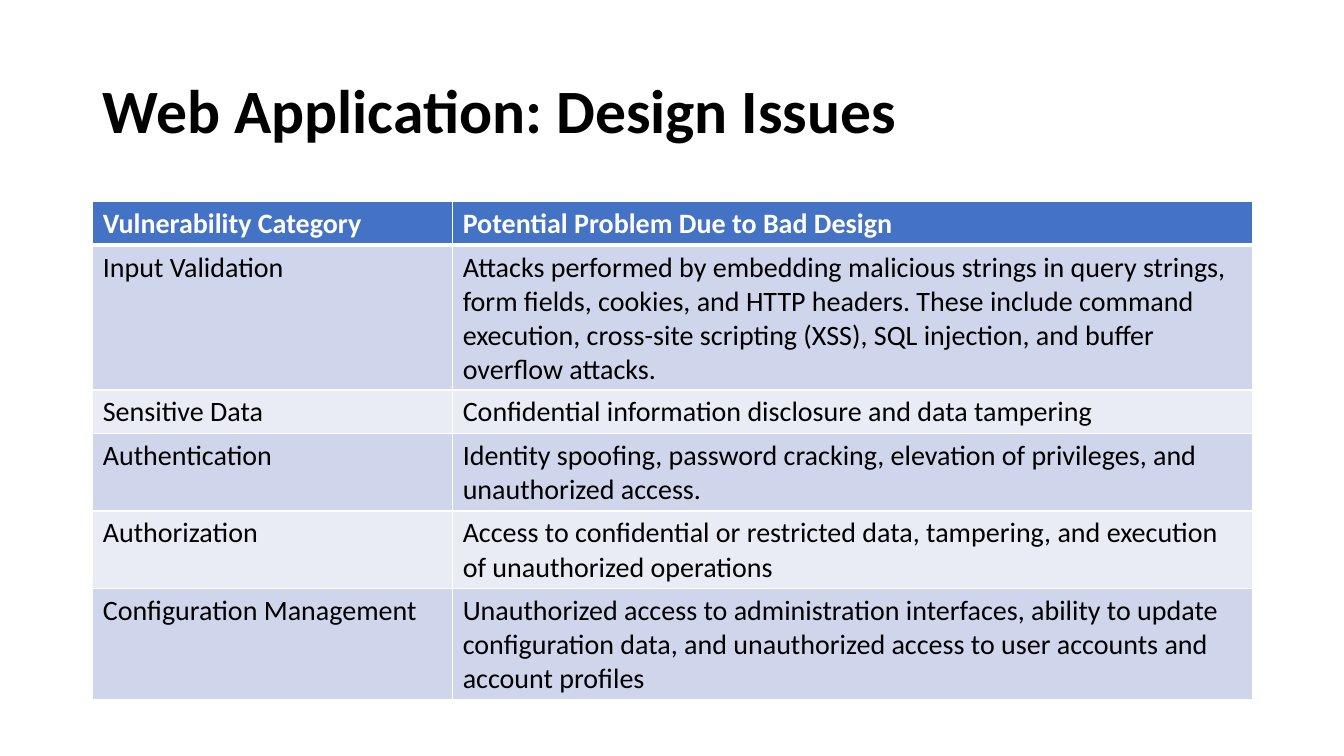
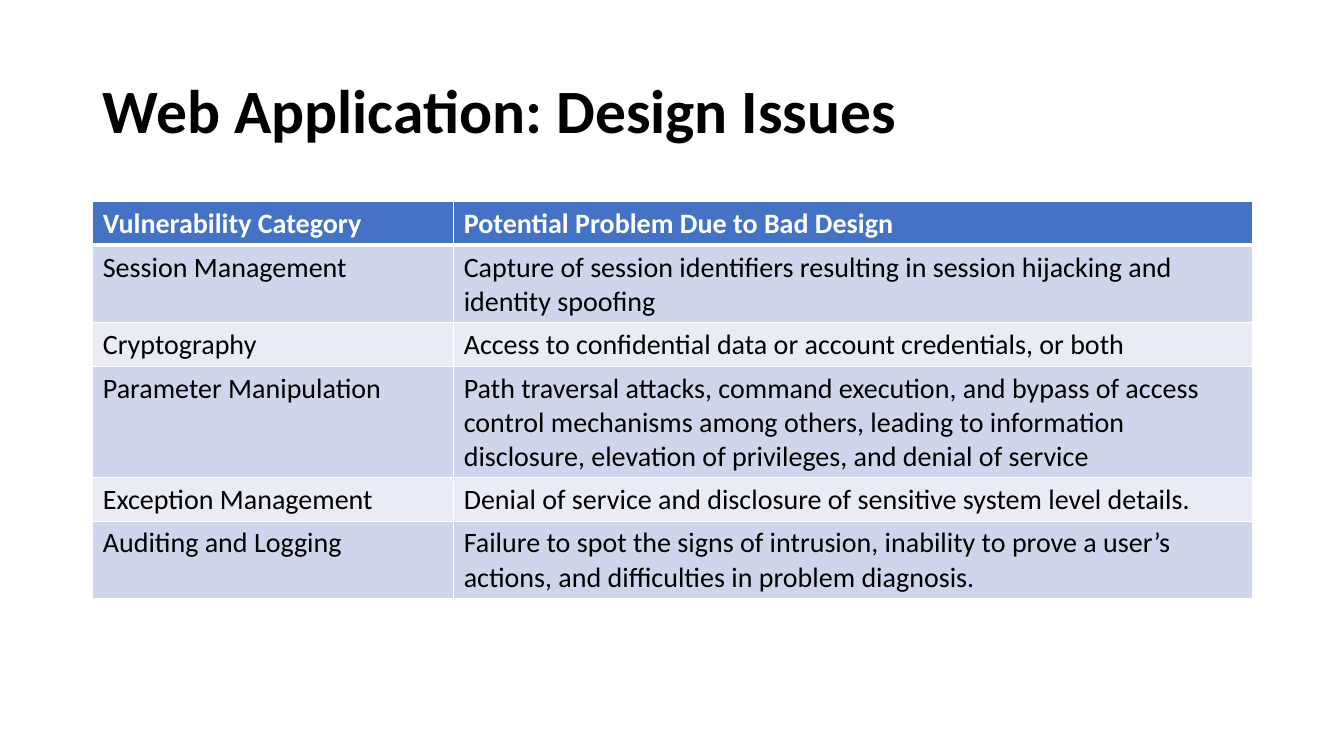
from lxml.etree import SubElement
from pptx import Presentation
from pptx.dml.color import RGBColor
from pptx.enum.text import MSO_ANCHOR as Anchor
from pptx.oxml.ns import qn
from pptx.util import Inches, Pt

COLORS = {
    "header": "4472C4",
    "odd_row": "CFD5EA",
    "even_row": "E9EBF5",
    "rule": "FFFFFF",
    "header_text": "FFFFFF",
    "text": "000000",
}
FONT = "Calibri"
LEFT, WIDTH = 0.92, 11.5
TITLE = "Web Application: Design Issues"
HEADINGS = ("Vulnerability Category", "Potential Problem Due to Bad Design")

INPUT_TO_CONFIGURATION = [
    ("Input Validation",
     "Attacks performed by embedding malicious strings in query strings, form fields, "
     "cookies, and HTTP headers. These include command execution, cross-site scripting "
     "(XSS), SQL injection, and buffer overflow attacks."),
    ("Sensitive Data", "Confidential information disclosure and data tampering"),
    ("Authentication",
     "Identity spoofing, password cracking, elevation of privileges, and unauthorized access."),
    ("Authorization",
     "Access to confidential or restricted data, tampering, and execution of "
     "unauthorized operations"),
    ("Configuration Management",
     "Unauthorized access to administration interfaces, ability to update configuration "
     "data, and unauthorized access to user accounts and account profiles"),
]
SESSION_TO_LOGGING = [
    ("Session Management",
     "Capture of session identifiers resulting in session hijacking and identity spoofing"),
    ("Cryptography", "Access to confidential data or account credentials, or both"),
    ("Parameter Manipulation",
     "Path traversal attacks, command execution, and bypass of access control mechanisms "
     "among others, leading to information disclosure, elevation of privileges, and "
     "denial of service"),
    ("Exception Management",
     "Denial of service and disclosure of sensitive system level details."),
    ("Auditing and Logging",
     "Failure to spot the signs of intrusion, inability to prove a user’s actions, and "
     "difficulties in problem diagnosis."),
]


def write(frame, text, size=20, color="text", bold=False, line_spacing=None):
    paragraph = frame.paragraphs[0]
    paragraph.line_spacing = line_spacing
    run = paragraph.add_run()
    run.text = text
    run.font.name = FONT
    run.font.size = Pt(size)
    run.font.bold = bold
    run.font.color.rgb = RGBColor.from_string(COLORS[color])


def set_borders(cell, top=1, bottom=1):
    """Rule all four sides of a cell; widths are in points."""
    properties = cell._tc.get_or_add_tcPr()
    for side, width in (("L", 1), ("R", 1), ("T", top), ("B", bottom)):
        line = SubElement(properties, qn(f"a:ln{side}"), w=str(Pt(width)))
        fill = SubElement(line, qn("a:solidFill"))
        SubElement(fill, qn("a:srgbClr"), val=COLORS["rule"])


class Deck:
    def __init__(self):
        self.presentation = Presentation()
        self.presentation.slide_width = Inches(13.33)
        self.presentation.slide_height = Inches(7.5)
        self.slide = None

    def new_slide(self):
        self.slide = self.presentation.slides.add_slide(self.presentation.slide_layouts[6])

    def title(self, text):
        box = self.slide.shapes.add_textbox(
            Inches(LEFT), Inches(0.4), Inches(WIDTH), Inches(1.45))
        frame = box.text_frame
        frame.word_wrap = True
        frame.vertical_anchor = Anchor.MIDDLE
        write(frame, text, size=44, bold=True, line_spacing=0.9)

    def table(self, issues, category_width):
        rows = [HEADINGS, *issues]
        table = self.slide.shapes.add_table(
            len(rows), len(HEADINGS), Inches(LEFT), Inches(2),
            Inches(WIDTH), Inches(0.41 * len(rows))).table
        table.columns[0].width = Inches(category_width)
        table.columns[1].width = Inches(WIDTH - category_width)
        for row_index, row in enumerate(rows):
            for column_index, text in enumerate(row):
                self.cell(table.cell(row_index, column_index), text, row_index)

    def cell(self, cell, text, row_index):
        is_header = row_index == 0
        set_borders(cell, top=3 if row_index == 1 else 1, bottom=3 if is_header else 1)
        band = "header" if is_header else "odd_row" if row_index % 2 else "even_row"
        cell.fill.solid()
        cell.fill.fore_color.rgb = RGBColor.from_string(COLORS[band])
        write(cell.text_frame, text, bold=is_header,
              color="header_text" if is_header else "text")


def main():
    deck = Deck()
    for issues, category_width in ((INPUT_TO_CONFIGURATION, 3.57), (SESSION_TO_LOGGING, 3.58)):
        deck.new_slide()
        deck.title(TITLE)
        deck.table(issues, category_width)
    deck.presentation.save("out.pptx")


if __name__ == "__main__":
    main()
